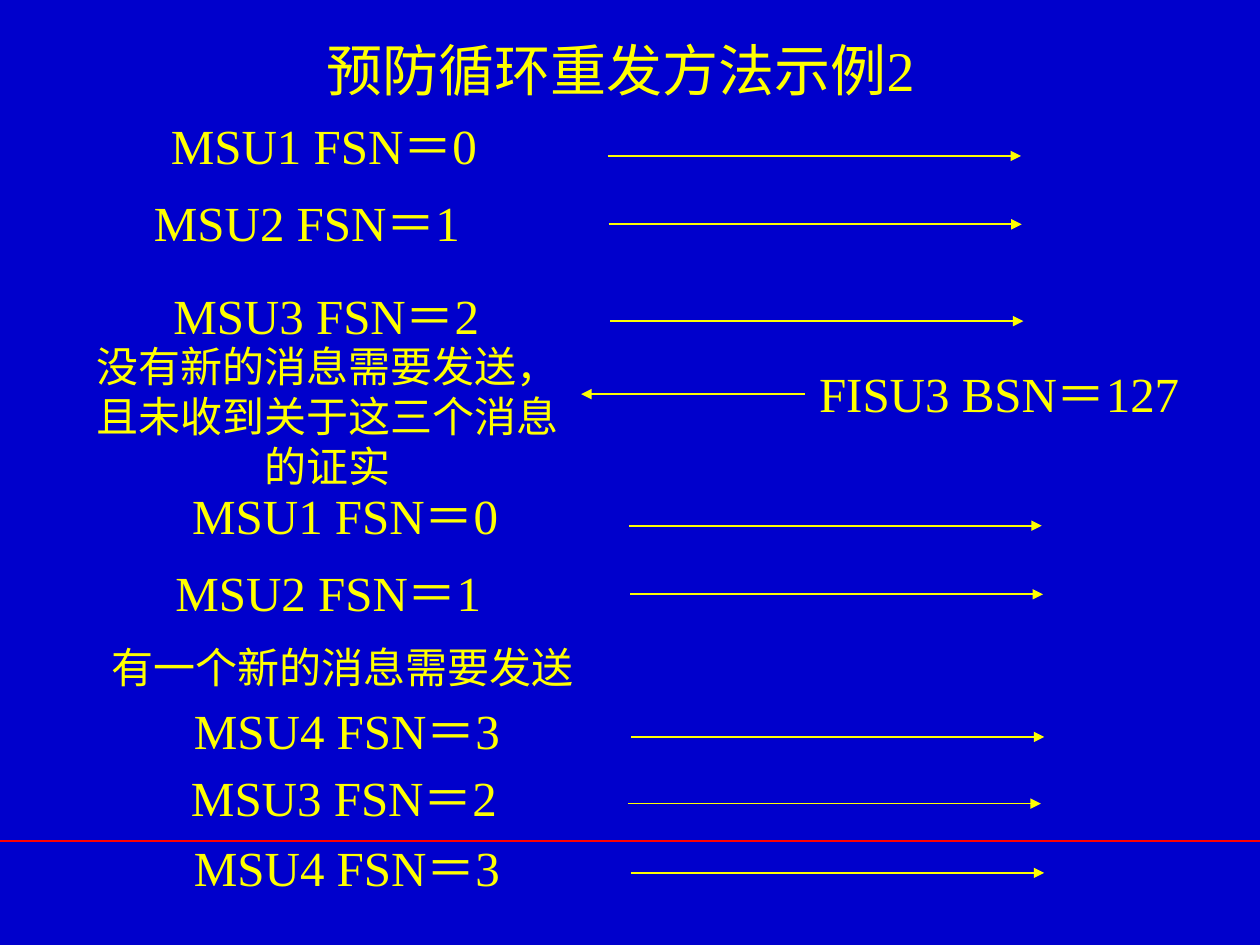
from lxml import etree
from pptx import Presentation
from pptx.dml.color import RGBColor
from pptx.enum.shapes import MSO_CONNECTOR
from pptx.enum.text import MSO_ANCHOR, MSO_AUTO_SIZE, PP_ALIGN
from pptx.oxml.ns import qn
from pptx.util import Pt

LINE = MSO_CONNECTOR.STRAIGHT
MIDDLE = MSO_ANCHOR.MIDDLE
CENTER = PP_ALIGN.CENTER
GROW = MSO_AUTO_SIZE.SHAPE_TO_FIT_TEXT

BLUE = RGBColor(0x00, 0x00, 0xCC)
YELLOW = RGBColor(0xFF, 0xFF, 0x00)
RED = RGBColor(0xFF, 0x00, 0x00)

FRAME = {
    "margin_left": Pt(7.2), "margin_right": Pt(7.2),
    "margin_top": Pt(3.6), "margin_bottom": Pt(3.6),
    "vertical_anchor": MIDDLE, "auto_size": GROW,
}
FONT = {"name": "Times New Roman"}

LABEL_H = 41
SPAN = 236  # length of a message arrow

# Messages: text, label left, top, width, arrow start x, arrow y
SENT = [
    ("MSU1 FSN＝0", 31.7, 62.3, 306.7, 347.4, 89.1),
    ("MSU2 FSN＝1", 34.6, 106.6, 281.5, 347.8, 128.2),
    ("MSU3 FSN＝2", 37.4, 159.5, 298.1, 348.8, 183.5),
    ("MSU1 FSN＝0", 43.9, 273.6, 306.7, 359.3, 300.4),
    ("MSU2 FSN＝1", 46.8, 318.0, 281.5, 360.0, 339.6),
    ("MSU4 FSN＝3", 49.2, 396.7, 298.1, 360.7, 421.1),
    ("MSU3 FSN＝2", 47.5, 434.9, 298.1, 358.8, 459.2),
    ("MSU4 FSN＝3", 49.2, 474.8, 298.1, 360.7, 498.8),
]

# Remarks between the messages: lines, left, top, width, height
NOTES = [
    (["没有新的消息需要发送，", "且未收到关于这三个消息", "的证实"],
     46.2, 190.8, 282, 93.6),
    (["有一个新的消息需要发送"], 54.9, 362.9, 282, 36),
]


def apply(target, values):
    for key, value in values.items():
        setattr(target, key, value)


def write(shape, lines, size, wrap=True):
    frame = shape.text_frame
    frame.text = "\n".join(lines)
    apply(frame, FRAME)
    frame.word_wrap = wrap
    for para in frame.paragraphs:
        para.alignment = CENTER
        for run in para.runs:
            apply(run.font, FONT)
            run.font.size = Pt(size)
            run.font.color.rgb = YELLOW


def add_title(slide, text, left, top, width, height):
    title = slide.shapes.title
    apply(title, {"left": Pt(left), "top": Pt(top),
                  "width": Pt(width), "height": Pt(height)})
    write(title, [text], 32, wrap=False)


def add_text(slide, lines, left, top, width, height, size, wrap=True):
    box = slide.shapes.add_textbox(Pt(left), Pt(top), Pt(width), Pt(height))
    write(box, lines, size, wrap)


def add_line(slide, start, end, y, color=YELLOW, tip=None):
    line = slide.shapes.add_connector(LINE, Pt(start), Pt(y), Pt(end), Pt(y))
    line.line.color.rgb = color
    line.line.width = Pt(1)
    if tip:
        stroke = line.line._get_or_add_ln()
        etree.SubElement(stroke, qn(tip), type="triangle")
    etree.SubElement(line._element.spPr, qn("a:effectLst"))


def main():
    deck = Presentation()
    deck.slide_width, deck.slide_height = Pt(720), Pt(540)
    slide = deck.slides.add_slide(deck.slide_layouts[5])
    fill = slide.background.fill
    fill.solid()
    fill.fore_color.rgb = BLUE

    # Rule near the bottom and title
    add_line(slide, 0, 720, 480.4, RED)
    add_title(slide, "预防循环重发方法示例2", 175.2, 16.6, 358.6, 46.1)

    # Messages sent to the right
    for text, left, top, width, start, y in SENT:
        add_text(slide, [text], left, top, width, LABEL_H, 28)
        add_line(slide, start, start + SPAN, y, tip="a:tailEnd")

    # Remarks
    for lines, left, top, width, height in NOTES:
        add_text(slide, lines, left, top, width, height, 24, wrap=False)

    # Reply to the left
    add_text(slide, ["FISU3 BSN＝127"], 421.9, 203.8, 298.1, LABEL_H, 28)
    add_line(slide, 332.1, 460.1, 225.2, tip="a:headEnd")

    deck.save("out.pptx")


if __name__ == "__main__":
    main()
